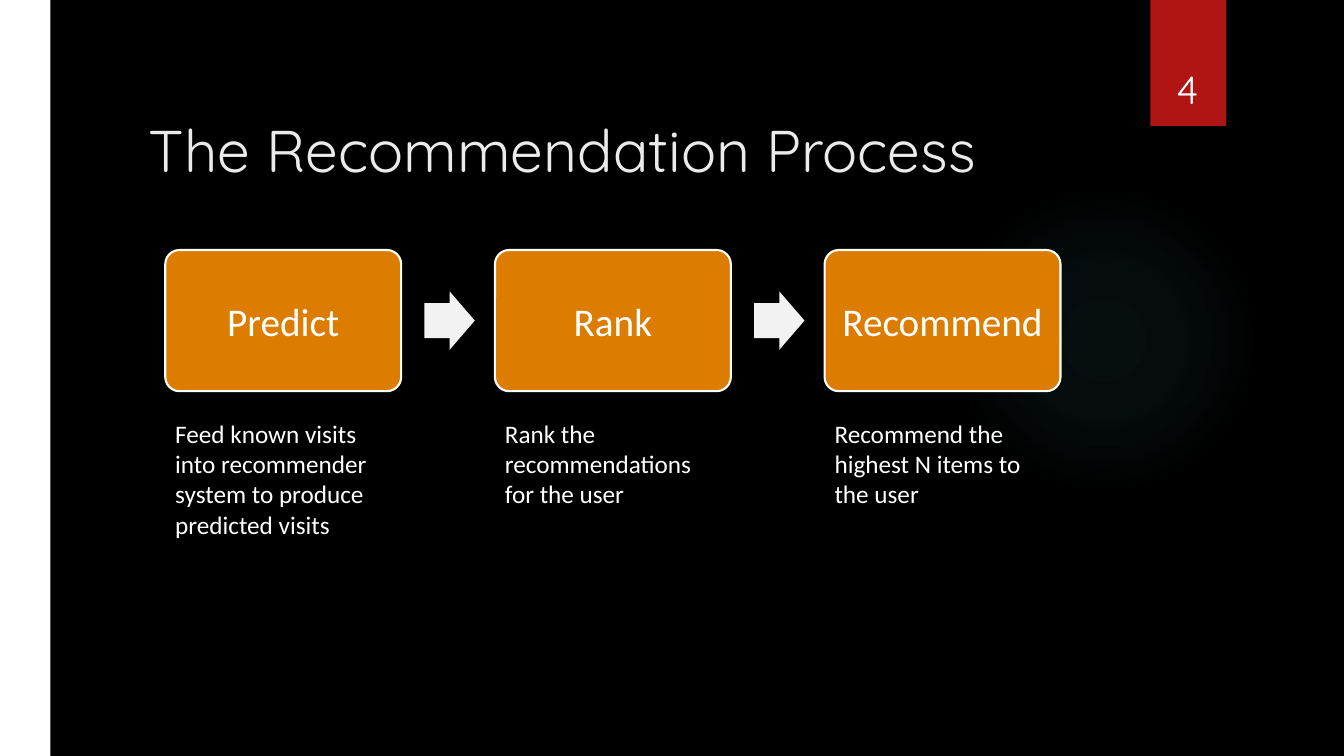
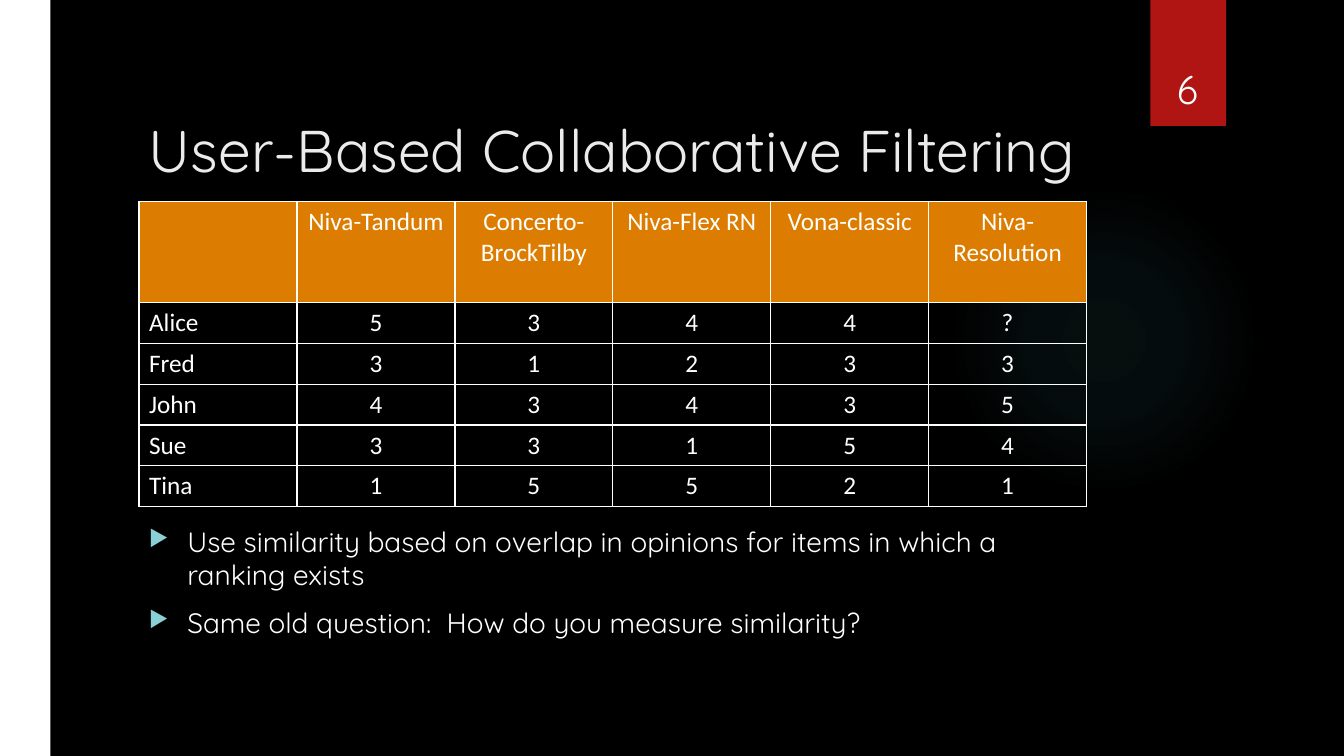
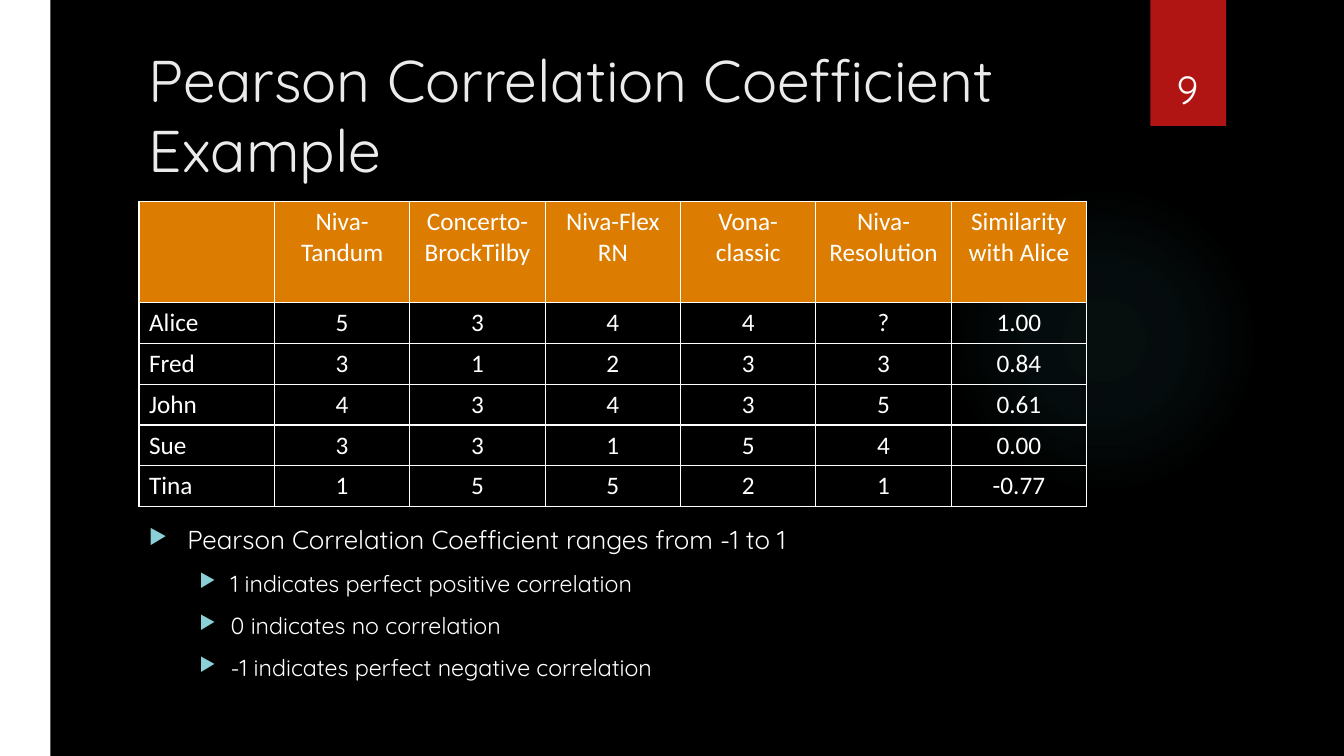
from dataclasses import dataclass

from lxml import etree
from pptx import Presentation
from pptx.dml.color import RGBColor
from pptx.enum.shapes import MSO_SHAPE
from pptx.enum.text import MSO_ANCHOR, PP_ALIGN
from pptx.oxml import parse_xml
from pptx.oxml.ns import nsdecls, qn
from pptx.util import Emu, Inches, Pt

RECTANGLE = MSO_SHAPE.RECTANGLE
ROUNDED = MSO_SHAPE.ROUNDED_RECTANGLE
ARROW = MSO_SHAPE.RIGHT_ARROW
ELLIPSE = MSO_SHAPE.OVAL
LEFT, CENTER = PP_ALIGN.LEFT, PP_ALIGN.CENTER
TOP, MIDDLE, BOTTOM = MSO_ANCHOR.TOP, MSO_ANCHOR.MIDDLE, MSO_ANCHOR.BOTTOM

SLIDE_WIDTH, SLIDE_HEIGHT = Inches(13.33), Inches(7.5)
COLORS = {
    "background": "000000",
    "white": "FFFFFF",
    "title": "EBEBEB",
    "ribbon": "B01513",
    "orange": "DC7D01",
    "arrow": "F2F2F2",
    "glow": "50B9C1",
    "bullet": "8AD0D6",
}
HEADING_FONT, LABEL_FONT = "Quicksand", "Calibri"


@dataclass(frozen=True)
class Box:
    """Shares of the slide's size, in percent."""

    left: float
    top: float
    width: float
    height: float

    def emu(self) -> tuple[Emu, Emu, Emu, Emu]:
        return (across(self.left), down(self.top), across(self.width), down(self.height))


@dataclass(frozen=True)
class Step:
    name: str
    caption: str


@dataclass(frozen=True)
class Bullet:
    text: str
    size: float
    margin: float = 0.38
    hanging: float = 0.38
    level: int = 0


GLOW = Box(70.59, 24.4, 23.1, 41.07)
RIBBON = Box(85.6, 0, 5.63, 16.67)
SIDE_BAND = Box(0, 0, 3.75, 100)
TITLE = Box(10.35, 6, 72, 19.07)
NUMBER = Box(84.9, 4.27, 6.9, 11.2)
TABLE = Box(10.35, 26.67, 70.5, 40.4)
BODY = Box(10.35, 68.67, 70.5, 21.47)
STEP = Box(12.3, 33.07, 17.55, 18.67)
STEP_PITCH = 24.53
ARROW_OFFSET, ARROW_WIDTH, ARROW_HEIGHT = 19.28, 3.75, 7.73
CAPTION_TOP, CAPTION_HEIGHT = 54.67, 17.47
HEADER_HEIGHT, ROW_HEIGHT = 13.33, 5.41
GLOW_STOPS = ((0, 7), (36, 6), (69, 0))

STEPS = (
    Step("Predict", "Feed known visits into recommender system to produce predicted visits"),
    Step("Rank", "Rank the recommendations for the user"),
    Step("Recommend", "Recommend the highest N items to the user"),
)
RATINGS = (
    ("", "Niva-Tandum", "Concerto-BrockTilby", "Niva-Flex RN", "Vona-classic", "Niva-Resolution"),
    ("Alice", "5", "3", "4", "4", "?"),
    ("Fred", "3", "1", "2", "3", "3"),
    ("John", "4", "3", "4", "3", "5"),
    ("Sue", "3", "3", "1", "5", "4"),
    ("Tina", "1", "5", "5", "2", "1"),
)
SIMILARITIES = ("Similarity with Alice", "1.00", "0.84", "0.61", "0.00", "-0.77")


def across(share: float) -> Emu:
    return Emu(round(SLIDE_WIDTH * share / 100))


def down(share: float) -> Emu:
    return Emu(round(SLIDE_HEIGHT * share / 100))


def rgb(name: str) -> RGBColor:
    return RGBColor.from_string(COLORS[name])


def write(paragraph, text: str, *, size: float, font: str = LABEL_FONT,
          color: str = "white", align: PP_ALIGN = LEFT) -> None:
    run = paragraph.add_run()
    run.text = text
    run.font.size = Pt(size)
    run.font.name = font
    run.font.bold = False
    run.font.color.rgb = rgb(color)
    paragraph.alignment = align


def add_text(slide, box: Box, text: str, *, anchor: MSO_ANCHOR = TOP, **text_format):
    frame = slide.shapes.add_textbox(*box.emu()).text_frame
    frame.word_wrap = True
    frame.vertical_anchor = anchor
    if text:
        write(frame.paragraphs[0], text, **text_format)
    return frame


def add_shape(slide, kind: MSO_SHAPE, box: Box, color: str):
    shape = slide.shapes.add_shape(kind, *box.emu())
    shape.shadow.inherit = False
    shape.fill.solid()
    shape.fill.fore_color.rgb = rgb(color)
    shape.line.fill.background()
    return shape


def add_glow(slide) -> None:
    shape = add_shape(slide, ELLIPSE, GLOW, "glow")
    stops = "".join(
        f'<a:gs pos="{position * 1000}"><a:srgbClr val="{COLORS["glow"]}">'
        f'<a:alpha val="{alpha * 1000}"/></a:srgbClr></a:gs>'
        for position, alpha in GLOW_STOPS
    )
    gradient = parse_xml(
        f'<a:gradFill {nsdecls("a")}><a:gsLst>{stops}</a:gsLst><a:path path="circle">'
        '<a:fillToRect l="50000" t="50000" r="50000" b="50000"/></a:path></a:gradFill>'
    )
    properties = shape.element.spPr
    properties.replace(properties.find(qn("a:solidFill")), gradient)


def start_slide(presentation, title: str, number: str):
    slide = presentation.slides.add_slide(presentation.slide_layouts[6])
    slide.background.fill.solid()
    slide.background.fill.fore_color.rgb = rgb("background")
    add_glow(slide)
    add_shape(slide, RECTANGLE, RIBBON, "ribbon")
    add_shape(slide, RECTANGLE, SIDE_BAND, "white")
    add_text(slide, TITLE, title, anchor=BOTTOM, size=42, font=HEADING_FONT, color="title")
    add_text(slide, NUMBER, number, anchor=BOTTOM, size=28, font=HEADING_FONT, align=CENTER)
    return slide


def add_process(slide, steps: tuple[Step, ...]) -> None:
    for index, step in enumerate(steps):
        left = STEP.left + index * STEP_PITCH
        card = add_shape(slide, ROUNDED, Box(left, STEP.top, STEP.width, STEP.height), "orange")
        card.adjustments[0] = 0.1
        card.line.color.rgb = rgb("white")
        card.line.width = Pt(1.5)
        card.text_frame.word_wrap = True
        card.text_frame.vertical_anchor = MIDDLE
        write(card.text_frame.paragraphs[0], step.name, size=28, align=CENTER)
        add_text(slide, Box(left, CAPTION_TOP, STEP.width, CAPTION_HEIGHT), step.caption, size=18)
        if index < len(steps) - 1:
            arrow_top = STEP.top + (STEP.height - ARROW_HEIGHT) / 2
            arrow_box = Box(left + ARROW_OFFSET, arrow_top, ARROW_WIDTH, ARROW_HEIGHT)
            arrow = add_shape(slide, ARROW, arrow_box, "arrow")
            arrow.adjustments[0] = 0.6


def outline_cell(cell) -> None:
    properties = cell._tc.get_or_add_tcPr()
    for position, side in enumerate(("lnL", "lnR", "lnT", "lnB")):
        border = parse_xml(
            f'<a:{side} {nsdecls("a")} w="{Pt(1)}"><a:solidFill>'
            f'<a:srgbClr val="{COLORS["white"]}"/></a:solidFill></a:{side}>'
        )
        properties.insert(position, border)


def add_ratings(slide, rows: tuple[tuple[str, ...], ...]) -> None:
    table = slide.shapes.add_table(len(rows), len(rows[0]), *TABLE.emu()).table
    table.first_row = table.horz_banding = False
    for column in table.columns:
        column.width = across(TABLE.width / len(rows[0]))
    for row_index, row in enumerate(rows):
        table.rows[row_index].height = down(ROW_HEIGHT if row_index else HEADER_HEIGHT)
        for column_index, text in enumerate(row):
            cell = table.cell(row_index, column_index)
            if row_index:
                cell.fill.background()
            else:
                cell.fill.solid()
                cell.fill.fore_color.rgb = rgb("orange")
            outline_cell(cell)
            if text:
                write(cell.text_frame.paragraphs[0], text, size=18,
                      align=CENTER if column_index else LEFT)


def add_bullets(slide, bullets: tuple[Bullet, ...]) -> None:
    frame = add_text(slide, BODY, "")
    for index, bullet in enumerate(bullets):
        paragraph = frame.add_paragraph() if index else frame.paragraphs[0]
        paragraph.level = bullet.level
        paragraph.space_before = Pt(10)
        write(paragraph, bullet.text, size=bullet.size, font=HEADING_FONT)
        properties = paragraph._p.get_or_add_pPr()
        properties.set("marL", str(Inches(bullet.margin)))
        properties.set("indent", str(-Inches(bullet.hanging)))
        color = etree.SubElement(properties, qn("a:buClr"))
        etree.SubElement(color, qn("a:srgbClr"), val=COLORS["bullet"])
        etree.SubElement(properties, qn("a:buSzPct"), val="80000")
        etree.SubElement(properties, qn("a:buChar"), char="▶")


def main() -> None:
    presentation = Presentation()
    presentation.slide_width, presentation.slide_height = SLIDE_WIDTH, SLIDE_HEIGHT

    process = start_slide(presentation, "The Recommendation Process", "4")
    add_process(process, STEPS)

    filtering = start_slide(presentation, "User-Based Collaborative Filtering", "6")
    add_ratings(filtering, RATINGS)
    add_bullets(filtering, (
        Bullet("Use similarity based on overlap in opinions for items in which a ranking exists", 20),
        Bullet("Same old question:  How do you measure similarity?", 20),
    ))

    pearson = start_slide(presentation, "Pearson Correlation Coefficient Example", "9")
    add_ratings(pearson, tuple((*row, value) for row, value in zip(RATINGS, SIMILARITIES)))
    details = ("1 indicates perfect positive correlation", "0 indicates no correlation",
               "-1 indicates perfect negative correlation")
    add_bullets(pearson, (
        Bullet("Pearson Correlation Coefficient ranges from -1 to 1", 18.5),
        *(Bullet(text, 16.6, margin=0.81, hanging=0.31, level=1) for text in details),
    ))

    presentation.save("out.pptx")


if __name__ == "__main__":
    main()
